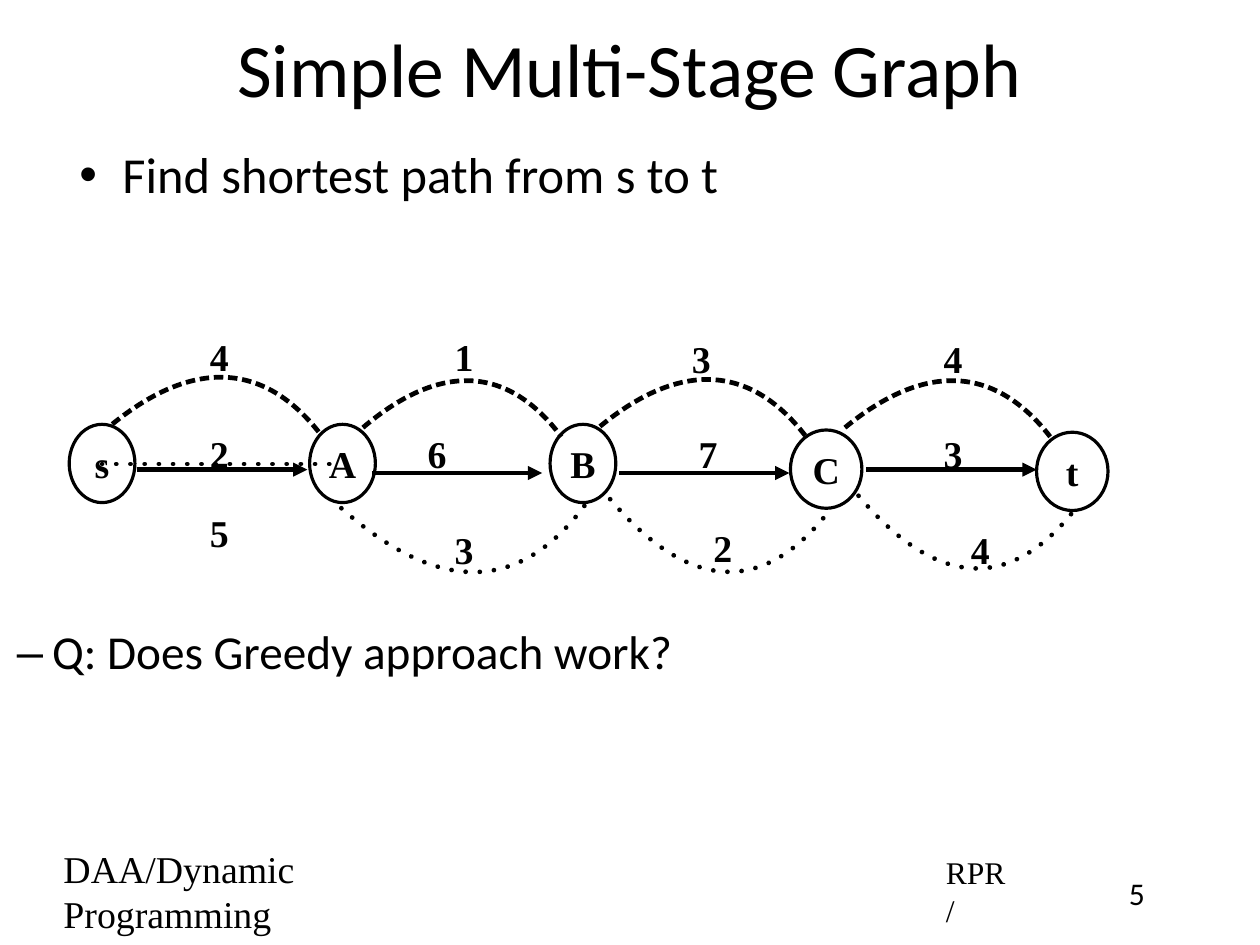
from lxml import etree
from pptx import Presentation
from pptx.dml.color import RGBColor
from pptx.enum.shapes import MSO_CONNECTOR, MSO_SHAPE
from pptx.enum.text import MSO_ANCHOR, PP_ALIGN
from pptx.oxml.ns import qn
from pptx.util import Inches, Pt

LEFT, CENTER = PP_ALIGN.LEFT, PP_ALIGN.CENTER
TOP, MIDDLE = MSO_ANCHOR.TOP, MSO_ANCHOR.MIDDLE
STRAIGHT, OVAL = MSO_CONNECTOR.STRAIGHT, MSO_SHAPE.OVAL

WIDE, HIGH = 11.11, 8.33
COLORS = {"ink": "000000", "paper": "FFFFFF"}
SANS, SERIF = "Calibri", "Times New Roman"

# Mark and gap in line widths, cap
DASH, DOT = (2, 1, "flat"), (1, 2, "rnd")

# Text, box, format
TEXTS = [
    ("Simple Multi-Stage Graph", (0.83, 0.07, 9.44, 1.04),
     dict(size=48, align=CENTER, indent=(0, 0))),
    ("Find shortest path from s to t", (0.6, 1.26, 9.9, 0.8),
     dict(size=32, anchor=TOP, bullet="•", indent=(0.42, -0.38), before=7)),
    ("Q: Does Greedy approach work?", (0.05, 5.47, 6.07, 0.6),
     dict(size=30, bullet="–", indent=(0.35, -0.31), before=6)),
    ("DAA/Dynamic Programming", (0.46, 7.62, 4.12, 0.47),
     dict(size=24, font=SERIF, right=1)),
    ("RPR/", (8.24, 7.64, 0.77, 0.42),
     dict(size=20, font=SERIF, right=0.11)),
    ("5", (9.72, 7.64, 0.66, 0.42),
     dict(size=20, align=CENTER, anchor=TOP, indent=(0, 0), right=0.11)),
]

# Graph grid: one column per stage
START, STEP, TALL = 0.61, 2.12, 0.69
# Name, shift from its column, top, width
NODES = [("s", 0, 3.74, 0.58), ("A", 0, 3.74, 0.58), ("B", 0, 3.74, 0.58),
         ("C", 0, 3.79, 0.63), ("t", 0.05, 3.81, 0.63)]

# Row by row: weight, left, top
WEIGHTS = [
    ("4", 1.75, 2.91), ("1", 3.91, 2.91), ("3", 6.0, 2.92), ("4", 8.22, 2.92),
    ("2", 1.75, 3.76), ("6", 3.67, 3.76), ("7", 6.06, 3.76), ("3", 8.22, 3.76),
    ("5", 1.75, 4.46), ("3", 3.91, 4.61), ("2", 6.19, 4.59), ("4", 8.46, 4.61),
]

ARROWS = [(1.21, 4.14), (3.28, 4.17), (5.46, 4.17), (7.64, 4.14)]
REACH = 1.5

# Curve bends: share of the span, drop from the start
UPPER = [(0, 0), (0.39, -0.58), (0.73, -0.55), (1, 0.08)]
LOWER = [(0, 0), (0.36, 0.81), (0.7, 0.85), (1, 0.13)]
FIRST = [(0, 0), (0.4, 0.76), (0.73, 0.75), (1, -0.03)]
# Left, top, span, bend, dash
CURVES = [
    (0.99, 3.74, 1.83, UPPER, DASH), (3.2, 3.77, 1.75, UPPER, DASH),
    (5.29, 3.76, 1.81, UPPER, DASH), (7.45, 3.77, 1.81, UPPER, DASH),
    (3.01, 4.48, 2.15, FIRST, DOT), (5.38, 4.4, 1.91, LOWER, DOT),
    (7.57, 4.37, 1.9, LOWER, DOT),
]


def ink(name):
    return RGBColor.from_string(COLORS[name])


def write(shape, text, size=24, font=SANS, bold=False, align=LEFT,
          anchor=MIDDLE, indent=(0.04, 0), bullet=None, before=0, right=0.06):
    frame = shape.text_frame
    frame.word_wrap = True
    frame.vertical_anchor = anchor
    frame.margin_left = frame.margin_top = frame.margin_bottom = Inches(0.06)
    frame.margin_right = Inches(right)
    para = frame.paragraphs[0]
    para.alignment = align
    para.space_before = Pt(before)
    run = para.add_run()
    run.text = text
    run.font.size, run.font.name, run.font.bold = Pt(size), font, bold
    run.font.color.rgb = ink("ink")
    props = para._p.get_or_add_pPr()
    for key, value in zip(("marL", "indent"), indent):
        props.set(key, str(Inches(value)))
    if bullet:
        para.line_spacing = 0.9
        etree.SubElement(props, qn("a:buFont")).set("typeface", "Arial")
        etree.SubElement(props, qn("a:buChar")).set("char", bullet)


def add_text(slide, text, box, **style):
    shape = slide.shapes.add_textbox(*map(Inches, box))
    write(shape, text, **style)


def stroke(shape, width=3, dash=None):
    line = shape.line
    line.color.rgb = ink("ink")
    line.width = Pt(width)
    if dash:
        mark, gap, cap = dash
        edge = line._get_or_add_ln()
        edge.set("cap", cap)
        rule = etree.SubElement(edge, qn("a:custDash"))
        etree.SubElement(rule, qn("a:ds"), d=str(mark * 100000),
                         sp=str(gap * 100000))


def add_node(slide, name, box):
    shape = slide.shapes.add_shape(OVAL, *map(Inches, box))
    shape.shadow.inherit = False
    shape.fill.background()
    stroke(shape, width=2)
    write(shape, name, font=SERIF, bold=True, align=CENTER, indent=(0, 0))


def add_line(slide, x, y, span, dash=None, arrow=False):
    ends = map(Inches, (x, y, x + span, y))
    line = slide.shapes.add_connector(STRAIGHT, *ends)
    stroke(line, dash=dash)
    if arrow:
        tail = etree.SubElement(line.line._get_or_add_ln(), qn("a:tailEnd"))
        tail.set("type", "triangle")
    etree.SubElement(line._element.spPr, qn("a:effectLst"))


def bezier(ends, t):
    """Return the value at t of a cubic curve with four control values."""
    a, b, c, d = ends
    u = 1 - t
    return a * u**3 + 3 * b * u * u * t + 3 * c * u * t * t + d * t**3


def add_curve(slide, x, y, span, bend, dash):
    """Frame the curve by its ends and its crest, then bend it into one cubic."""
    spots = [(Inches(x + share * span), Inches(y + drop)) for share, drop in bend]
    down = [spot[1] for spot in spots]
    crest = max((bezier(down, i / 50) for i in range(51)),
                key=lambda v: abs(v - down[0]))
    path = slide.shapes.build_freeform(*spots[0])
    path.add_line_segments([(spots[1][0], crest), spots[3]], close=False)
    shape = path.convert_to_shape()
    shape.shadow.inherit = False
    shape.fill.background()
    stroke(shape, dash=dash)
    track = shape._element.find(".//" + qn("a:path"))
    for part in track.findall(qn("a:lnTo")):
        track.remove(part)
    cubic = etree.SubElement(track, qn("a:cubicBezTo"))
    for across, deep in spots[1:]:
        etree.SubElement(cubic, qn("a:pt"), x=str(across - shape.left),
                         y=str(deep - shape.top))


def main():
    deck = Presentation()
    deck.slide_width, deck.slide_height = Inches(WIDE), Inches(HIGH)
    slide = deck.slides.add_slide(deck.slide_layouts[6])
    slide.background.fill.solid()
    slide.background.fill.fore_color.rgb = ink("paper")
    for text, box, style in TEXTS:
        add_text(slide, text, box, **style)
    for col, (name, shift, top, width) in enumerate(NODES):
        add_node(slide, name, (START + col * STEP + shift, top, width, TALL))
    for x, y in ARROWS:
        add_line(slide, x, y, REACH, arrow=True)
    add_line(slide, 0.9, 4.09, STEP, dash=DOT)
    for curve in CURVES:
        add_curve(slide, *curve)
    for text, x, y in WEIGHTS:
        add_text(slide, text, (x, y, 0.34, 0.47), font=SERIF, bold=True)
    deck.save("out.pptx")


if __name__ == "__main__":
    main()
